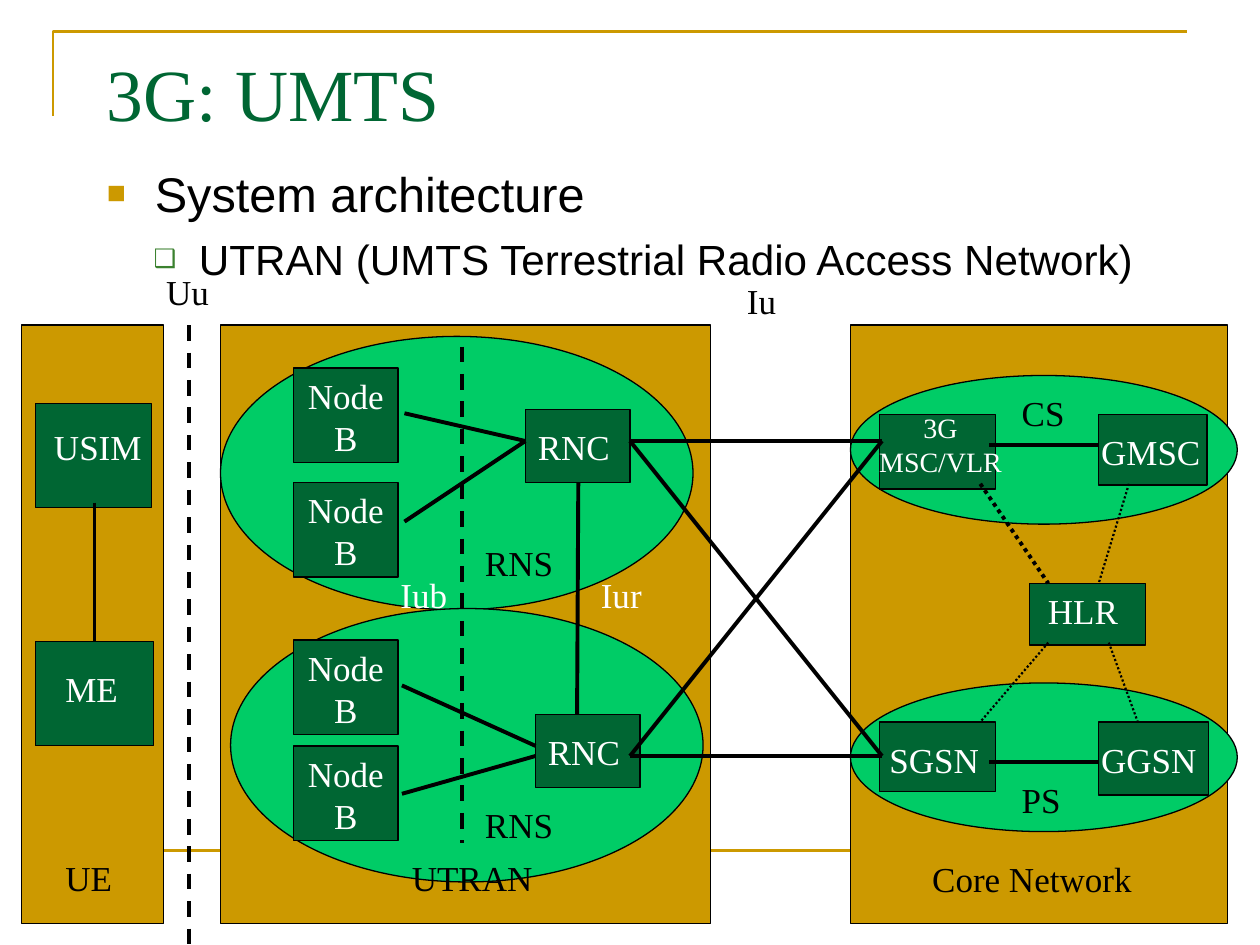
from lxml.etree import SubElement
from pptx import Presentation
from pptx.dml.color import RGBColor
from pptx.enum.dml import MSO_LINE
from pptx.enum.shapes import MSO_CONNECTOR, MSO_SHAPE
from pptx.enum.text import PP_ALIGN
from pptx.oxml.ns import qn
from pptx.util import Inches, Pt

COLORS = {name: RGBColor.from_string(code) for name, code in {
    "gold": "CC9900", "light": "00CC66", "dark": "006633",
    "bullet": "3B812F", "black": "000000", "white": "FFFFFF"}.items()}

prs = Presentation()
prs.slide_width, prs.slide_height = Inches(10), Inches(7.5)
slide = prs.slides.add_slide(prs.slide_layouts[6])
shapes = slide.shapes


def add_line(x1, y1, x2, y2, color="black", width=2.25, dash=None):
    line = shapes.add_connector(MSO_CONNECTOR.STRAIGHT, Inches(x1), Inches(y1),
                                Inches(x2), Inches(y2))
    line.line.color.rgb = COLORS[color]
    line.line.width = Pt(width)
    if dash:
        line.line.dash_style = dash
    SubElement(line._element.spPr, qn("a:effectLst"))


def add_text(lines, x, y, w, h, color="black", size=20, align=PP_ALIGN.LEFT,
             font="Times New Roman"):
    frame = shapes.add_textbox(Inches(x), Inches(y), Inches(w), Inches(h)).text_frame
    frame.word_wrap = True
    paragraph = frame.paragraphs[0]
    paragraph.alignment = align
    for i, text in enumerate(lines.split("\n")):
        if i:
            paragraph.add_line_break()
        run = paragraph.add_run()
        run.text = text
        run.font.name, run.font.size = font, Pt(size)
        run.font.color.rgb = COLORS[color]
    return frame


# Frame lines of the page
builder = shapes.build_freeform(Inches(0.42), Inches(0.92), scale=1.0)
builder.add_line_segments([(Inches(0.42), Inches(0.25)),
                           (Inches(9.42), Inches(0.25))], close=False)
corner = builder.convert_to_shape()
corner.shadow.inherit = False
corner.fill.background()
corner.line.color.rgb = COLORS["gold"]
corner.line.width = Pt(1.5)
add_line(0.5, 6.75, 9.5, 6.75, "gold", 1.5)

# Title and bullets
add_text("3G: UMTS", 0.75, 0.33, 8.5, 1.25, "dark", 42)
body = add_text("System architecture", 0.75, 1.25, 8.98, 1.25, size=27.8, font="Arial")
access = body.add_paragraph()
access.level = 1
access.space_before = Pt(6.5)
access_run = access.add_run()
access_run.text = "UTRAN (UMTS Terrestrial Radio Access Network)"
access_run.font.name, access_run.font.size = "Arial", Pt(24.1)
access_run.font.color.rgb = COLORS["black"]
for paragraph, mark, color, percent, left, hang in (
        (body.paragraphs[0], "■", "gold", 65, 0.38, 0.38),
        (access, "❑", "bullet", 60, 0.73, 0.36)):
    props = paragraph._p.get_or_add_pPr()
    props.set("marL", str(Inches(left)))
    props.set("indent", str(-Inches(hang)))
    SubElement(SubElement(props, qn("a:buClr")), qn("a:srgbClr"), val=str(COLORS[color]))
    SubElement(props, qn("a:buSzPct"), val=str(percent * 1000))
    SubElement(props, qn("a:buFont"), typeface="Arial")
    SubElement(props, qn("a:buChar"), char=mark)

# Domains, subsystems and network elements, back to front
domains = [(0.17, 2.58, 1.13, 4.75), (1.75, 2.58, 3.89, 4.75), (6.75, 2.58, 2.99, 4.75)]
subsystems = [(1.75, 2.67, 3.75, 2.17), (1.83, 4.83, 3.75, 2.17),
              (6.75, 2.98, 3.07, 1.18), (6.75, 5.42, 3.07, 1.18)]
node_tops = [2.92, 3.83, 5.08, 5.92]
elements = [(2.33, top, 0.83, 0.75) for top in node_tops] + [
    (0.28, 3.2, 0.92, 0.83), (0.28, 5.09, 0.94, 0.83),    # USIM, ME
    (4.17, 3.25, 0.83, 0.58), (4.25, 5.67, 0.83, 0.58),   # RNC
    (6.98, 3.29, 0.92, 0.59), (8.72, 3.29, 0.86, 0.56),   # MSC/VLR, GMSC
    (8.17, 4.63, 0.92, 0.49),                             # HLR
    (6.98, 5.73, 0.92, 0.55), (8.72, 5.73, 0.87, 0.58)]   # SGSN, GGSN
for kind, color, boxes in ((MSO_SHAPE.RECTANGLE, "gold", domains),
                           (MSO_SHAPE.OVAL, "light", subsystems),
                           (MSO_SHAPE.RECTANGLE, "dark", elements)):
    for box in boxes:
        block = shapes.add_shape(kind, *map(Inches, box))
        block.shadow.inherit = False
        block.fill.solid()
        block.fill.fore_color.rgb = COLORS[color]
        block.line.color.rgb = COLORS["black"]
        block.line.width = Pt(0.75)

# Element labels
for top in node_tops:
    add_text("Node B", 2.33, top, 0.83, 0.77, "white", align=PP_ALIGN.CENTER)
add_text("3G\nMSC/VLR", 6.75, 3.21, 1.43, 0.64, "white", 16, PP_ALIGN.CENTER)
for label, x, y, w in (("HLR", 8.09, 4.63, 1.01), ("SGSN", 6.91, 5.81, 1.01)):
    add_text(label, x, y, w, 0.44, "white", align=PP_ALIGN.CENTER)
for label, x, y, w in (("USIM", 0.33, 3.33, 1.01), ("ME", 0.42, 5.25, 0.67),
                       ("RNC", 4.17, 3.33, 0.83), ("RNC", 4.25, 5.75, 0.83),
                       ("GMSC", 8.64, 3.37, 1.02), ("GGSN", 8.64, 5.81, 0.96)):
    add_text(label, x, y, w, 0.44, "white")

# Links
for link in ((0.75, 3.99, 0.75, 5.09), (4.59, 3.83, 4.58, 5.67),
             (4.17, 3.5, 3.21, 3.28), (4.17, 3.5, 3.21, 4.14),
             (4.25, 5.92, 3.19, 5.44), (4.25, 6, 3.19, 6.3),
             (8.72, 3.53, 7.85, 3.53), (8.72, 6.05, 7.85, 6.05)):
    add_line(*link)
for core_y in (3.5, 6):
    for rnc_y in (3.5, 6):
        add_line(7, core_y, 5, rnc_y)

# Signalling links to the HLR
add_line(7.78, 3.84, 8.32, 4.63, dash=MSO_LINE.ROUND_DOT)
for link in ((8.96, 3.84, 8.72, 4.63), (8.32, 5.1, 7.78, 5.73), (8.8, 5.1, 9.03, 5.73)):
    add_line(*link, width=1.25, dash=MSO_LINE.ROUND_DOT)

# Interface boundaries
add_line(3.67, 2.75, 3.67, 6.69, dash=MSO_LINE.DASH)
add_line(1.5, 2.58, 1.5, 7.5, dash=MSO_LINE.DASH)

# Domain, subsystem and interface labels
for label, x, y, w, color in (
        ("UE", 0.42, 6.75, 0.62, "black"), ("UTRAN", 3.17, 6.75, 1.33, "black"),
        ("Core Network", 7.3, 6.76, 1.9, "black"),
        ("RNS", 3.75, 4.25, 0.78, "black"), ("RNS", 3.75, 6.33, 0.78, "black"),
        ("CS", 8.01, 3.06, 0.62, "black"), ("PS", 8.01, 6.13, 0.62, "black"),
        ("Uu", 1.22, 2.1, 0.62, "black"), ("Iu", 5.83, 2.17, 0.62, "black"),
        ("Iub", 3.08, 4.5, 0.62, "white"), ("Iur", 4.67, 4.5, 0.62, "white")):
    add_text(label, x, y, w, 0.44, color)

prs.save("out.pptx")
